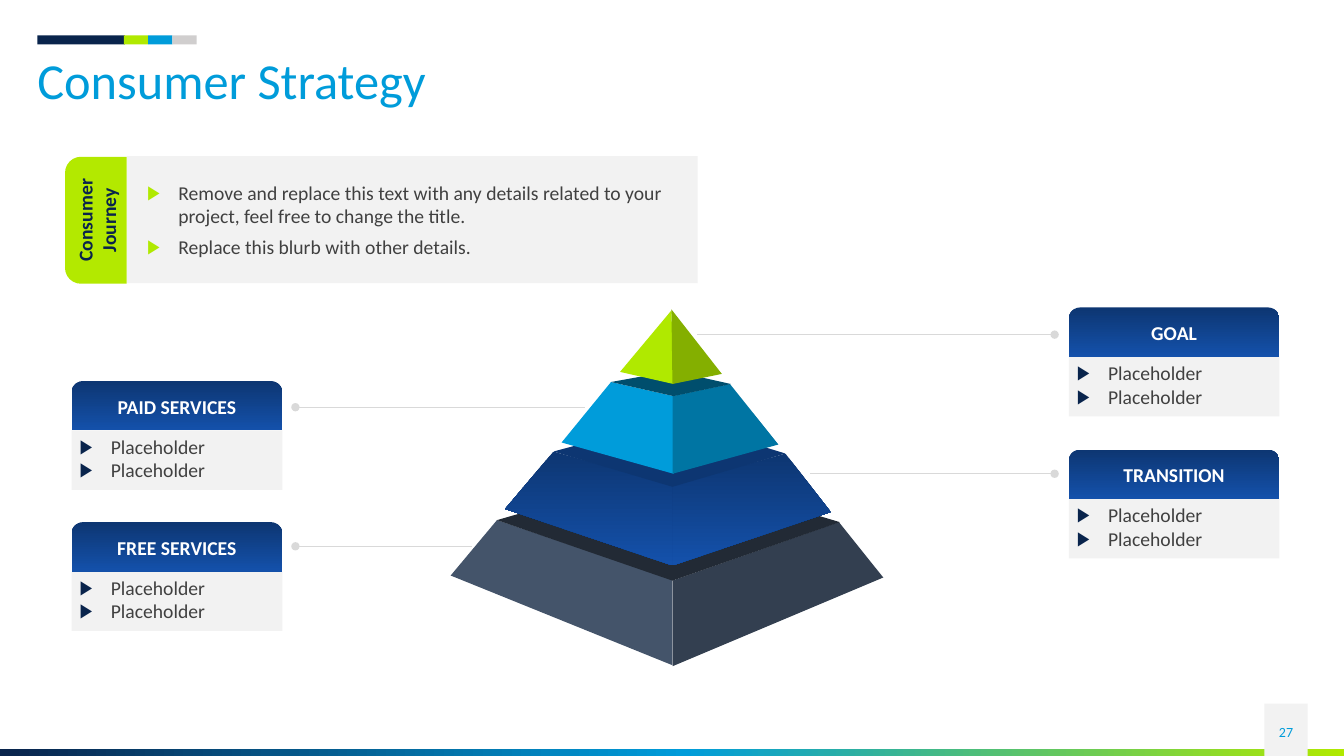
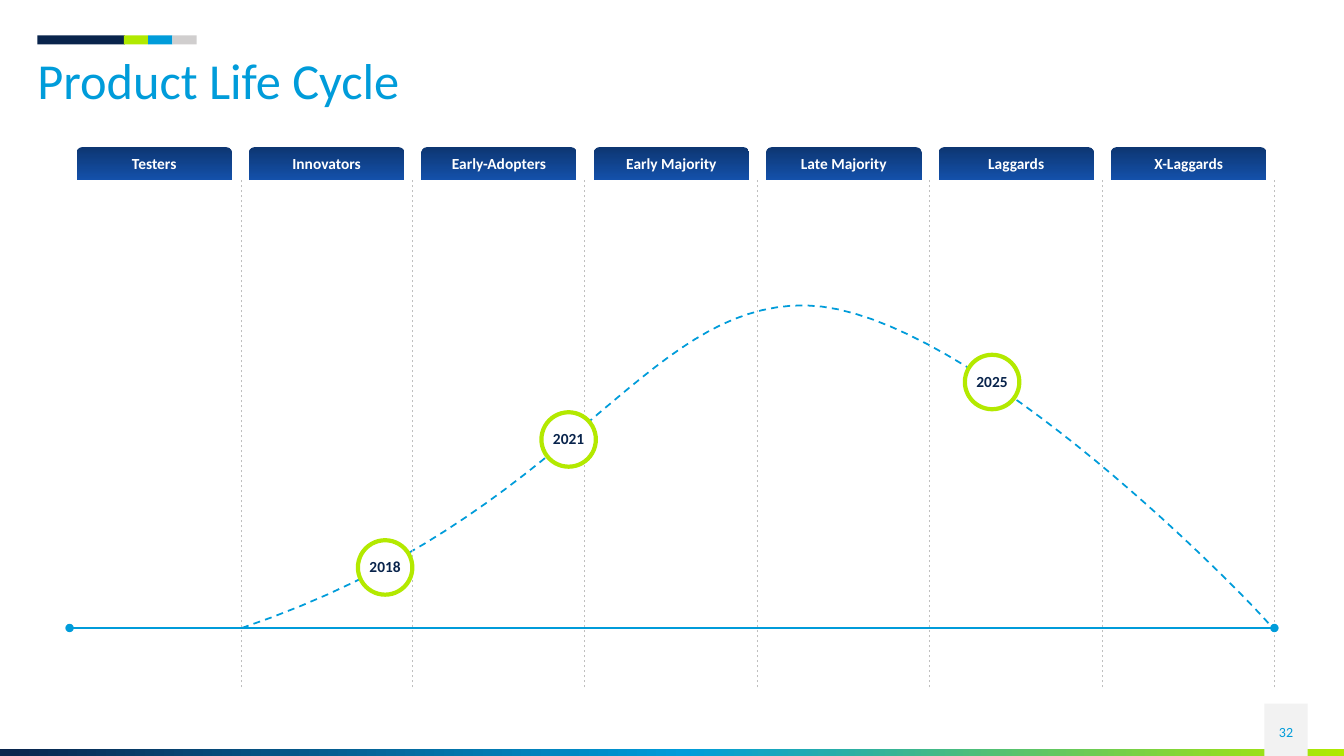
from lxml.etree import SubElement
from pptx import Presentation
from pptx.dml.color import RGBColor
from pptx.enum.dml import MSO_LINE
from pptx.enum.shapes import MSO_CONNECTOR, MSO_SHAPE
from pptx.enum.text import MSO_ANCHOR, PP_ALIGN
from pptx.oxml.ns import qn
from pptx.util import Pt

EMU_PER_PX = 9144
FONT = "Calibri"
NAVY = "09244C"
BLUE = "009CDA"
LIME = "B0E900"
LABEL_LIME = "B3E900"
SILVER = "D0CECE"
PANEL = "F2F2F2"
TEXT = "404040"
WHITE = "FFFFFF"
LEADER = "D9D9D9"
DIVIDER = "BFBFBF"
ROYAL = ((0, "0D3672"), (100, "1451AB"))
FOOTER = ((0, NAVY), (51, BLUE), (100, LIME))

ACCENTS = ((37, 87, NAVY), (123, 24, LIME), (147, 24, BLUE), (171, 24, SILVER))

PYRAMID_FACES = (
    ("44546A", ((493, 516), (447, 571), (667, 660), (667, 575))),
    ("333F50", ((667, 576), (667, 661), (876, 573), (832, 518))),
    ("222A35", ((493, 516), (662, 467), (833, 518), (667, 576))),
    (ROYAL, ((549, 448), (667, 482), (667, 561), (501, 505))),
    (ROYAL, ((667, 482), (779, 450), (824, 508), (667, 561))),
    ("0D3672", ((549, 448), (667, 483), (779, 450), (668, 416))),
    (BLUE, ((606, 379), (668, 393), (668, 470), (557, 439))),
    ("0075A3", ((667, 393), (724, 381), (772, 441), (667, 470))),
    ("004E6D", ((606, 379), (668, 393), (725, 381), (667, 368))),
    (LIME, ((666, 308), (615, 369), (668, 381))),
    ("84AF00", ((666, 307), (667, 381), (716, 371))),
)

CARDS = (
    ("PAID SERVICES", 71, 378),
    ("FREE SERVICES", 71, 518),
    ("GOAL", 1060, 305),
    ("TRANSITION", 1060, 446),
)

LEADERS = (
    (293, 580, 404),
    (293, 468, 542),
    (1046, 691, 332),
    (1046, 803, 470),
)

PHASES = ("Testers", "Innovators", "Early-Adopters", "Early Majority",
          "Late Majority", "Laggards", "X-Laggards")

MILESTONES = (("2025", 957, 352), ("2021", 537, 409), ("2018", 355, 536))

CURVES = (
    ((240, 623), (566, 513), (637, 301), (799, 303)),
    ((799, 303), (962, 306), (1248, 604), (1262, 623)),
)


def px(length):
    return round(length * EMU_PER_PX)


def rgb(color):
    return RGBColor.from_string(color)


def paint(shape, fill, angle=0):
    if isinstance(fill, str):
        shape.fill.solid()
        shape.fill.fore_color.rgb = rgb(fill)
        return
    shape.fill.gradient()
    shape.fill.gradient_angle = angle
    stops = shape.element.spPr.find(qn("a:gradFill")).find(qn("a:gsLst"))
    for stop in list(stops):
        stops.remove(stop)
    for position, color in fill:
        stop = SubElement(stops, qn("a:gs"), pos=str(position * 1000))
        SubElement(stop, qn("a:srgbClr"), val=color)


def add_box(slide, kind, left, top, width, height, fill, angle=0):
    shape = slide.shapes.add_shape(kind, px(left), px(top), px(width), px(height))
    shape.shadow.inherit = False
    shape.line.fill.background()
    paint(shape, fill, angle)
    return shape


def add_bullet(paragraph, color):
    properties = paragraph._p.get_or_add_pPr()
    properties.set("marL", str(px(31)))
    properties.set("indent", str(px(-31)))
    bullet_color = SubElement(properties, qn("a:buClr"))
    SubElement(bullet_color, qn("a:srgbClr"), val=color)
    SubElement(properties, qn("a:buFont"), typeface="Arial")
    SubElement(properties, qn("a:buChar"), char="▶")


def write(shape, lines, size, color, bold=False, align=PP_ALIGN.CENTER,
          anchor=MSO_ANCHOR.MIDDLE, insets=(0, 0, 0, 0), spacing=1.0,
          gap=0, bullet=None):
    frame = shape.text_frame
    frame.word_wrap = True
    frame.vertical_anchor = anchor
    (frame.margin_left, frame.margin_top,
     frame.margin_right, frame.margin_bottom) = map(px, insets)
    for index, line in enumerate(lines):
        paragraph = frame.add_paragraph() if index else frame.paragraphs[0]
        if bullet:
            add_bullet(paragraph, bullet)
        paragraph.alignment = align
        paragraph.line_spacing = spacing
        if index and gap:
            paragraph.space_before = Pt(gap)
        run = paragraph.add_run()
        run.text = line
        run.font.name = FONT
        run.font.size = Pt(size)
        run.font.bold = bold
        run.font.color.rgb = rgb(color)


def add_text(slide, text, left, top, width, height, size, color, **style):
    box = slide.shapes.add_textbox(px(left), px(top), px(width), px(height))
    write(box, [text], size, color, **style)


def add_line(slide, start, end, color, width, dash=None, ends=()):
    connector = slide.shapes.add_connector(
        MSO_CONNECTOR.STRAIGHT, *map(px, start + end))
    connector.line.color.rgb = rgb(color)
    connector.line.width = Pt(width)
    if dash:
        connector.line.dash_style = dash
    properties = connector.element.spPr
    for end_name in ends:
        SubElement(properties.find(qn("a:ln")), qn(f"a:{end_name}"), type="oval")
    SubElement(properties, qn("a:effectLst"))


def add_outline(slide, points, close):
    start, *rest = [(px(x), px(y)) for x, y in points]
    builder = slide.shapes.build_freeform(*start)
    builder.add_line_segments(rest, close=close)
    shape = builder.convert_to_shape()
    shape.shadow.inherit = False
    return shape


def add_face(slide, fill, points):
    face = add_outline(slide, points, close=True)
    face.line.fill.background()
    paint(face, fill, 270)


def add_tab(slide, text, left, top, width, height, size, rounding):
    tab = add_box(slide, MSO_SHAPE.ROUND_2_SAME_RECTANGLE,
                  left, top, width, height, ROYAL, 270)
    tab.adjustments[0] = rounding
    write(tab, [text], size, WHITE, bold=True, spacing=0.95)


def add_card(slide, heading, left, top):
    body = add_box(slide, MSO_SHAPE.RECTANGLE, left, top + 49, 209, 59, PANEL)
    write(body, ["Placeholder"] * 2, 14, TEXT, align=PP_ALIGN.LEFT,
          anchor=MSO_ANCHOR.TOP, insets=(8, 4, 8, 8), bullet=NAVY)
    add_tab(slide, heading, left, top, 209, 49, 14, 0.23)


def add_summary(slide):
    panel = add_box(slide, MSO_SHAPE.RECTANGLE, 126, 155, 566, 126, PANEL)
    write(panel, ["Remove and replace this text with any details related to your "
                  "project, feel free to change the title.",
                  "Replace this blurb with other details."],
          14, TEXT, align=PP_ALIGN.LEFT, insets=(20, 4, 8, 4), gap=5.3, bullet=LIME)
    label = add_box(slide, MSO_SHAPE.ROUND_2_SAME_RECTANGLE,
                    32, 188, 126, 61, LABEL_LIME)
    label.rotation = 270
    label.adjustments[0] = 0.26
    write(label, ["Consumer Journey"], 14, NAVY, bold=True, insets=(10, 5, 10, 8))


def add_milestone(slide, year, left, top):
    ring = add_box(slide, MSO_SHAPE.OVAL, left, top, 54, 54, WHITE)
    ring.line.color.rgb = rgb(LABEL_LIME)
    ring.line.width = Pt(3)
    write(ring, [year], 11, NAVY, bold=True, spacing=0.95)


def bezier_points(controls, steps=32):
    weights = (1, 3, 3, 1)
    for step in range(steps + 1):
        t = step / steps
        factors = [weight * (1 - t) ** (3 - power) * t ** power
                   for power, weight in enumerate(weights)]
        yield tuple(sum(factor * point[axis] for factor, point in zip(factors, controls))
                    for axis in (0, 1))


def add_life_curve(slide):
    rise, fall = map(list, map(bezier_points, CURVES))
    curve = add_outline(slide, rise + fall[1:], close=False)
    curve.fill.background()
    curve.line.color.rgb = rgb(BLUE)
    curve.line.width = Pt(1.25)
    curve.line.dash_style = MSO_LINE.DASH


def add_slide(presentation, title, number):
    slide = presentation.slides.add_slide(presentation.slide_layouts[6])
    add_box(slide, MSO_SHAPE.RECTANGLE, 0, 743, 1333, 7, FOOTER)
    add_box(slide, MSO_SHAPE.RECTANGLE, 1254, 698, 43, 52, PANEL)
    for left, width, color in ACCENTS:
        add_box(slide, MSO_SHAPE.RECTANGLE, left, 35, width, 9, color)
    add_text(slide, title, 37, 56, 1260, 55, 36, BLUE, align=PP_ALIGN.LEFT,
             anchor=MSO_ANCHOR.TOP, spacing=0.9)
    add_text(slide, number, 1254, 706, 43, 40, 10, BLUE, insets=(10, 5, 10, 5))
    return slide


def build_strategy(presentation):
    slide = add_slide(presentation, "Consumer Strategy", "27")
    for fill, points in PYRAMID_FACES:
        add_face(slide, fill, points)
    add_summary(slide)
    for start, end, height in LEADERS:
        add_line(slide, (start, height), (end, height), LEADER, 0.5, ends=("headEnd",))
    for card in CARDS:
        add_card(slide, *card)


def build_life_cycle(presentation):
    slide = add_slide(presentation, "Product Life Cycle", "32")
    add_life_curve(slide)
    for index, phase in enumerate(PHASES):
        divider = 239 + index * 1025 // 6
        add_line(slide, (divider, 682), (divider, 178), DIVIDER, 0.5, MSO_LINE.DASH)
        add_tab(slide, phase, 76 + 171 * index, 146, 154, 33, 11, 0.17)
    add_line(slide, (69, 623), (1264, 623), BLUE, 2, ends=("headEnd", "tailEnd"))
    for milestone in MILESTONES:
        add_milestone(slide, *milestone)


def main():
    presentation = Presentation()
    presentation.slide_width = px(1333)
    presentation.slide_height = px(750)
    build_strategy(presentation)
    build_life_cycle(presentation)
    presentation.save("out.pptx")


if __name__ == "__main__":
    main()
